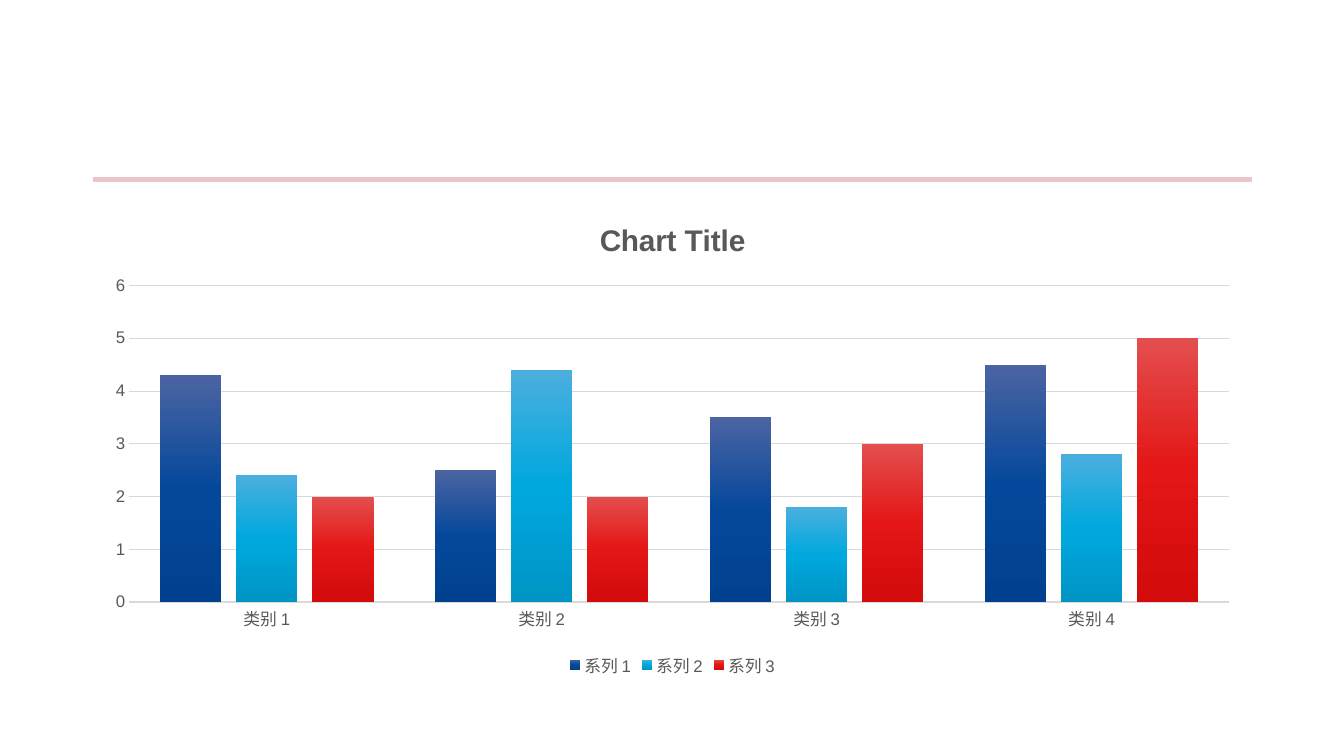
from lxml import etree
from pptx import Presentation
from pptx.chart.data import CategoryChartData
from pptx.dml.color import RGBColor
from pptx.enum.chart import XL_CHART_TYPE as ChartType
from pptx.enum.chart import XL_LEGEND_POSITION as LegendPosition
from pptx.enum.chart import XL_TICK_MARK as TickMark
from pptx.enum.shapes import MSO_CONNECTOR as Connector
from pptx.oxml.ns import qn
from pptx.util import Inches, Pt

GREY_TEXT = "595959"
GREY_LINE = "D9D9D9"
LEFT, WIDTH = 0.92, 11.5
SERIES = {
    "系列 1": ((4.3, 2.5, 3.5, 4.5), ("4B64A2", "05489B", "00408E")),
    "系列 2": ((2.4, 4.4, 1.8, 2.8), ("4BAFDE", "00A8DE", "0095C5")),
    "系列 3": ((2, 2, 3, 5), ("E44E4E", "E41616", "D30B0B")),
}


def color(value):
    return RGBColor.from_string(value)


def style_font(font, size, bold=False):
    font.name = "Arial"
    font.size = Pt(size)
    font.bold = bold
    font.color.rgb = color(GREY_TEXT)


prs = Presentation()
prs.slide_width, prs.slide_height = Inches(13.33), Inches(7.5)
slide = prs.slides.add_slide(prs.slide_layouts[6])

# Rule above the chart
rule = slide.shapes.add_connector(
    Connector.STRAIGHT, Inches(LEFT), Inches(1.78), Inches(LEFT + WIDTH), Inches(1.78))
rule.line.color.rgb = color("EBC4C9")
rule.line.width = Pt(3)
etree.SubElement(rule._element.spPr, qn("a:effectLst"))

# Clustered columns
chart_data = CategoryChartData()
chart_data.categories = [f"类别 {number}" for number in range(1, 5)]
for name, (values, _) in SERIES.items():
    chart_data.add_series(name, values)
chart = slide.shapes.add_chart(
    ChartType.COLUMN_CLUSTERED, Inches(LEFT), Inches(2), Inches(WIDTH), Inches(4.76),
    chart_data).chart
style_font(chart.font, 12)

columns = chart.plots[0]
columns.gap_width = 100
columns.overlap = -24
columns.vary_by_categories = False

# Vertical three-stop gradient for each series
for series, (_, shades) in zip(columns.series, SERIES.values()):
    series.invert_if_negative = False
    gradient = etree.Element(qn("a:gradFill"), rotWithShape="1")
    stops = etree.SubElement(gradient, qn("a:gsLst"))
    for position, shade in zip((0, 50000, 100000), shades):
        stop = etree.SubElement(stops, qn("a:gs"), pos=str(position))
        etree.SubElement(stop, qn("a:srgbClr"), val=shade)
    etree.SubElement(gradient, qn("a:lin"), ang="5400000", scaled="0")
    series._element.get_or_add_spPr().insert(0, gradient)

# Chart title
chart.has_title = True
chart.chart_title.include_in_layout = False
heading = chart.chart_title.text_frame.paragraphs[0].add_run()
heading.text = "Chart Title"
style_font(heading.font, 21.3, bold=True)

# Axes
for axis in (chart.category_axis, chart.value_axis):
    axis.major_tick_mark = TickMark.NONE
    axis.minor_tick_mark = TickMark.NONE
    style_font(axis.tick_labels.font, 12)
chart.category_axis.format.line.color.rgb = color(GREY_LINE)
chart.category_axis.format.line.width = Pt(1)

scale = chart.value_axis
scale.minimum_scale, scale.maximum_scale, scale.major_unit = 0, 6, 1
scale.format.line.fill.background()
scale.has_major_gridlines = True
scale.major_gridlines.format.line.color.rgb = color(GREY_LINE)
scale.major_gridlines.format.line.width = Pt(0.75)

# Legend
chart.has_legend = True
chart.legend.position = LegendPosition.BOTTOM
chart.legend.include_in_layout = False
style_font(chart.legend.font, 12)

prs.save("out.pptx")
